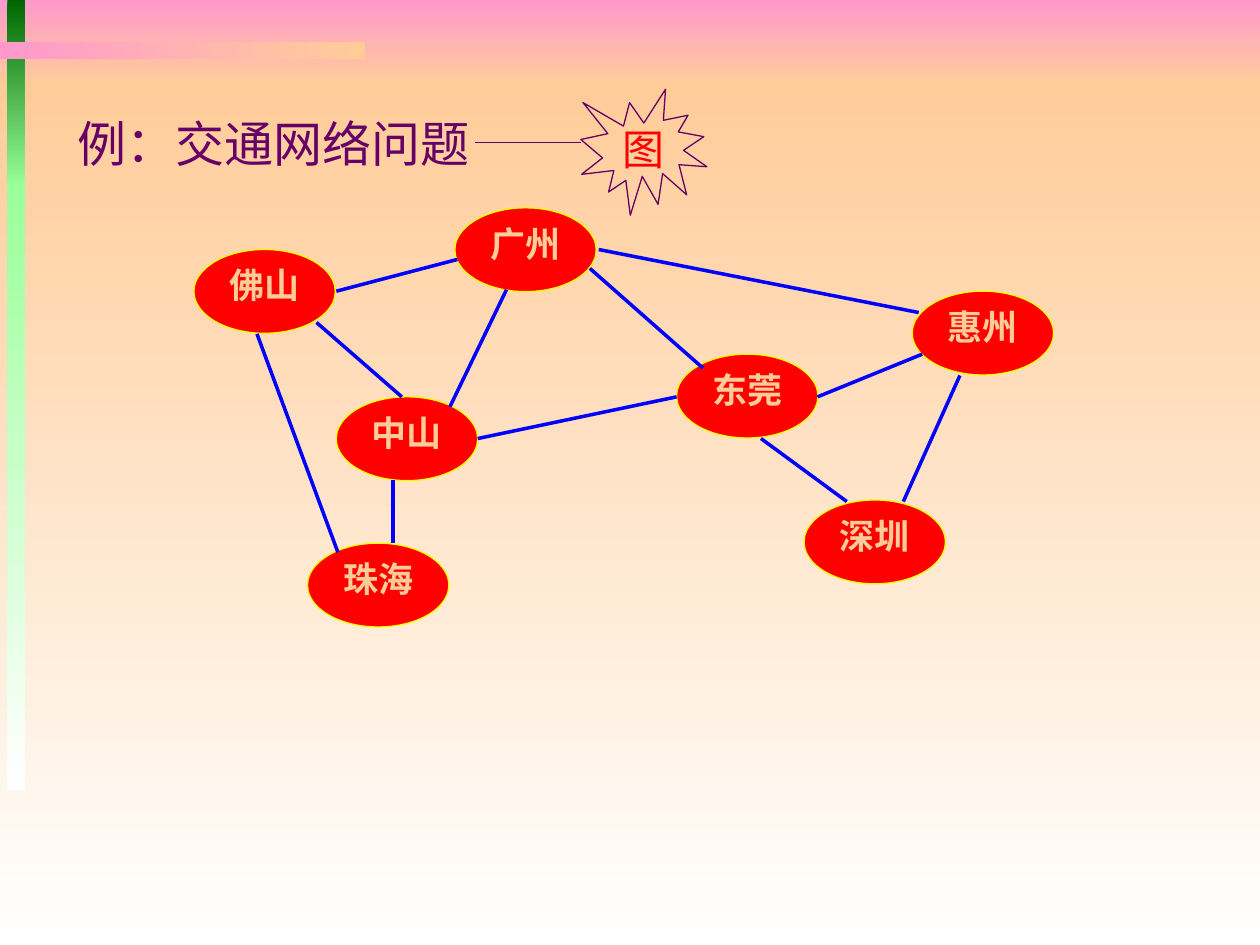
from typing import NamedTuple

from lxml import etree
from pptx import Presentation
from pptx import util as u
from pptx.dml.color import RGBColor
from pptx.enum import shapes as sh, text as tx
from pptx.oxml.ns import qn

SANS = "Noto Sans CJK SC"
PINK, PEACH, WHITE = "FF99CC", "FFCC99", "FFFFFF"
LIME, PLUM, RED = "99FF99", "660066", "FF0000"
OVAL_W, OVAL_H = 2.85, 1.69


# All positions and sizes are in centimetres.
class Band(NamedTuple):
    x: float
    y: float
    w: float
    h: float
    start: str
    end: str
    angle: int = 270


class City(NamedTuple):
    name: str
    x: float
    y: float


class Road(NamedTuple):
    x1: float
    y1: float
    x2: float
    y2: float


BANDS = [
    Band(0, 0, 25.4, 1.7, PINK, PEACH),
    Band(0, 1.7, 25.4, 17.35, PEACH, WHITE),
    Band(0.15, 0, 0.36, 3.75, "006600", LIME),
    Band(0.15, 3.7, 0.36, 12.22, LIME, WHITE),
    Band(0, 0.84, 7.35, 0.35, PINK, PEACH, 0),
]
CITIES = [
    City("佛山", 3.91, 5.03),
    City("惠州", 18.39, 5.87),
    City("广州", 9.17, 4.19),
    City("中山", 6.78, 8),
    City("东莞", 13.64, 7.14),
    City("深圳", 16.21, 10.08),
    City("珠海", 6.2, 10.95),
]
ROADS = [
    Road(7.92, 10.95, 7.92, 9.68),    # 珠海 – 中山
    Road(8.1, 8, 6.38, 6.5),          # 中山 – 佛山
    Road(13.64, 8, 9.63, 8.84),       # 东莞 – 中山
    Road(14.17, 7.42, 11.89, 5.41),   # 东莞 – 广州
    Road(17.07, 10.11, 15.34, 8.84),  # 深圳 – 东莞
    Road(18.21, 10.11, 19.35, 7.57),  # 深圳 – 惠州
    Road(18.52, 6.3, 12.07, 5.03),    # 惠州 – 广州
    Road(9.07, 8.2, 10.21, 5.84),     # 中山 – 广州
    Road(9.22, 5.23, 6.78, 5.87),     # 广州 – 佛山
    Road(18.59, 7.14, 16.48, 8),      # 惠州 – 东莞
    Road(6.81, 11.13, 5.18, 6.73),    # 珠海 – 佛山
]


def paint(target, color: str) -> None:
    target.rgb = RGBColor.from_string(color)


def outline(line, color: str, width: float) -> None:
    line.width = u.Pt(width)
    paint(line.color, color)


def add_form(slide, kind, x: float, y: float, w: float, h: float):
    form = slide.shapes.add_shape(kind, u.Cm(x), u.Cm(y), u.Cm(w), u.Cm(h))
    form.shadow.inherit = False
    return form


def set_frame(frame, anchor, dx: float, dy: float) -> None:
    frame.vertical_anchor = anchor
    frame.margin_left = frame.margin_right = u.Cm(dx)
    frame.margin_top = frame.margin_bottom = u.Cm(dy)


def add_run(frame, words: str, size: int, font: str, color: str,
            align=tx.PP_ALIGN.CENTER, bold: bool = False):
    para = frame.paragraphs[0]
    para.alignment = align
    run = para.add_run()
    run.text = words
    run.font.size = u.Pt(size)
    run.font.name = font
    run.font.bold = bold
    paint(run.font.color, color)
    # East Asian glyphs take their own typeface
    props = run.font._element
    etree.SubElement(props, qn("a:ea")).set("typeface", SANS)
    return para


def add_band(slide, band: Band) -> None:
    form = add_form(slide, sh.MSO_SHAPE.RECTANGLE, *band[:4])
    form.line.fill.background()
    form.fill.gradient()
    form.fill.gradient_angle = band.angle
    for stop, color, spot in zip(form.fill.gradient_stops,
                                 (band.start, band.end), (0, 1)):
        paint(stop.color, color)
        stop.position = spot


def add_title(slide, words: str) -> None:
    title = slide.shapes.title
    slide.shapes._spTree.append(title._element)  # lift above the bands
    title.left, title.top = u.Cm(1.27), u.Cm(1.9)
    title.width, title.height = u.Cm(20.75), u.Cm(1.73)
    frame = title.text_frame
    frame.word_wrap = True
    frame.auto_size = tx.MSO_AUTO_SIZE.SHAPE_TO_FIT_TEXT
    set_frame(frame, tx.MSO_ANCHOR.TOP, 0.3, 0.15)
    para = add_run(frame, words, 28, SANS, PLUM, tx.PP_ALIGN.LEFT)
    para.line_spacing = 1.2
    para.space_before = u.Pt(17.5)


def add_city(slide, city: City) -> None:
    form = add_form(slide, sh.MSO_SHAPE.OVAL, city.x, city.y, OVAL_W, OVAL_H)
    form.fill.solid()
    paint(form.fill.fore_color, RED)
    outline(form.line, "FFFF00", 0.75)
    set_frame(form.text_frame, tx.MSO_ANCHOR.TOP, 0, 0)
    para = add_run(form.text_frame, city.name, 20, "Arial", PEACH, bold=True)
    para.line_spacing = 1.05
    para.space_before = u.Pt(5)


def add_road(slide, road: Road, color: str, width: float) -> None:
    line = slide.shapes.add_connector(sh.MSO_CONNECTOR.STRAIGHT,
                                      *(u.Cm(v) for v in road))
    outline(line.line, color, width)
    etree.SubElement(line._element.spPr, qn("a:effectLst"))


def add_burst(slide, words: str) -> None:
    form = add_form(slide, sh.MSO_SHAPE.EXPLOSION1, 11.71, 1.8, 2.54, 2.54)
    form.fill.background()
    outline(form.line, PLUM, 0.75)
    frame = form.text_frame
    frame.word_wrap = False
    set_frame(frame, tx.MSO_ANCHOR.MIDDLE, 0.25, 0.13)
    add_run(frame, words, 24, "Times New Roman", RED)


def main() -> None:
    deck = Presentation()
    deck.slide_width, deck.slide_height = u.Cm(25.4), u.Cm(19.05)
    slide = deck.slides.add_slide(deck.slide_layouts[5])

    # Background bands and title
    for band in BANDS:
        add_band(slide, band)
    add_title(slide, "例：交通网络问题")

    # Road network
    for city in CITIES:
        add_city(slide, city)
    for road in ROADS:
        add_road(slide, road, "0000FF", 2)

    # Callout tied to the title
    add_burst(slide, "图")
    add_road(slide, Road(9.58, 2.87, 11.71, 2.87), PLUM, 0.75)

    deck.save("out.pptx")


if __name__ == "__main__":
    main()
